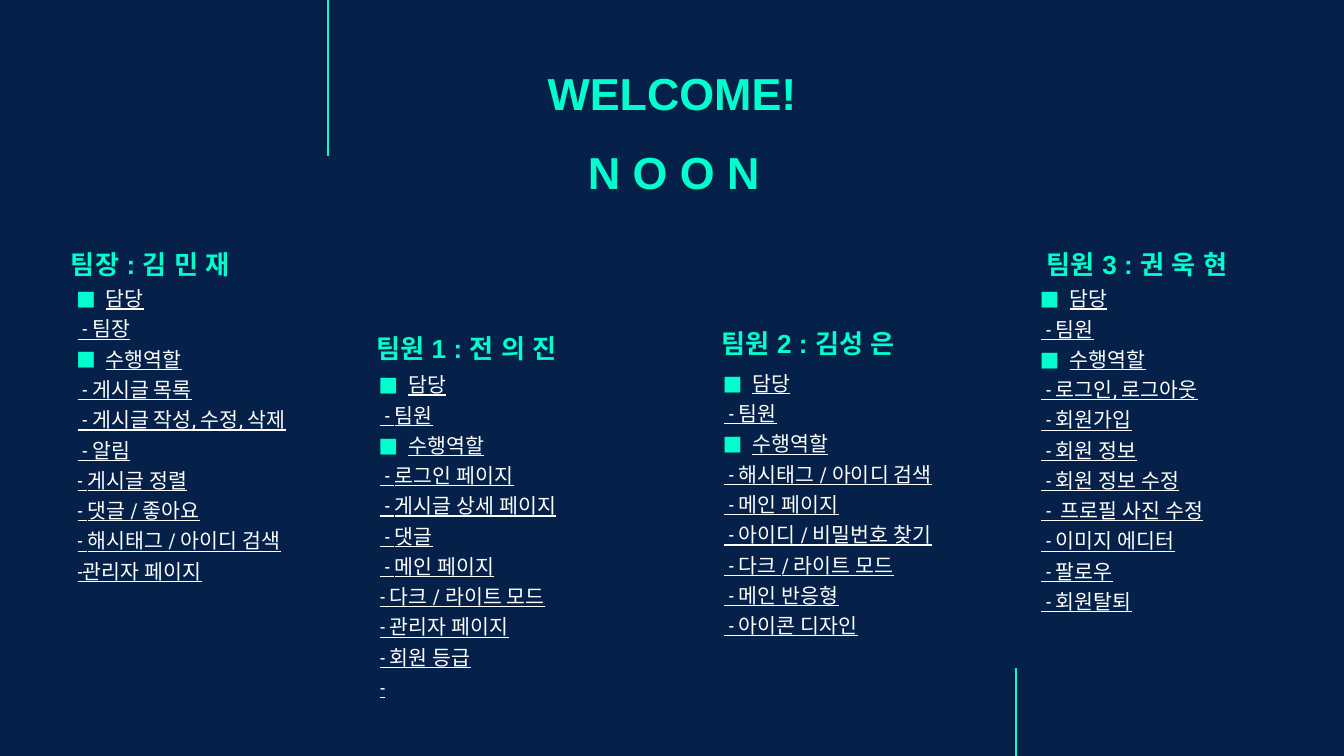
from lxml.etree import SubElement
from pptx import Presentation
from pptx.dml.color import RGBColor
from pptx.enum.shapes import MSO_CONNECTOR
from pptx.enum.text import MSO_ANCHOR, PP_ALIGN
from pptx.oxml.ns import qn
from pptx.util import Pt

PX = 4572
HUES = {"navy": "05214A", "mint": "00FFCD", "white": "FFFFFF"}
HEAD = {"name": "Arial", "size": Pt(14), "bold": True}
BIG = {**HEAD, "size": Pt(24)}
ITEM = {"name": "Roboto Condensed", "size": Pt(11), "underline": True}


def add_box(left, top, width, height, anchor):
    box = slide.shapes.add_textbox(left * PX, top * PX, width * PX, height * PX)
    frame = box.text_frame
    form = {"word_wrap": True, "vertical_anchor": anchor}
    for side in ("left", "top", "right", "bottom"):
        form[f"margin_{side}"] = 20 * PX
    for key, val in form.items():
        setattr(frame, key, val)
    return frame


def add_run(para, text, form, hue):
    run = para.add_run()
    run.text = text
    for key, val in form.items():
        setattr(run.font, key, val)
    run.font.color.rgb = RGBColor.from_string(HUES[hue])
    SubElement(run._r.get_or_add_rPr(), qn("a:ea"), typeface=form["name"])


deck = Presentation()
deck.slide_width = 2000 * PX
deck.slide_height = 1125 * PX
slide = deck.slides.add_slide(deck.slide_layouts[6])
fill = slide.background.fill
fill.solid()
fill.fore_color.rgb = RGBColor.from_string(HUES["navy"])

for x, top, end in [(488, 0, 232), (1512, 994, 1130)]:
    line = slide.shapes.add_connector(
        MSO_CONNECTOR.STRAIGHT, x * PX, top * PX, x * PX, end * PX
    )
    line.line.color.rgb = RGBColor.from_string(HUES["mint"])
    line.line.width = Pt(0.75)
    SubElement(line._element.spPr, qn("a:effectLst"))

LOW, HIGH = MSO_ANCHOR.BOTTOM, MSO_ANCHOR.TOP
titles = [
    ("WELCOME!", (430, 78, 1140, 206, HIGH), PP_ALIGN.CENTER, BIG),
    ("N O O N", (852, 168, 298, 148, LOW), PP_ALIGN.RIGHT, BIG),
    ("팀장 : 김 민 재", (86, 342, 392, 94, LOW), PP_ALIGN.LEFT, HEAD),
    ("팀원 1 : 전 의 진", (540, 468, 392, 94, LOW), PP_ALIGN.LEFT, HEAD),
    ("팀원 2 : 김성 은", (1054, 460, 392, 94, LOW), PP_ALIGN.LEFT, HEAD),
    ("팀원 3 : 권 욱 현", (1538, 342, 392, 94, LOW), PP_ALIGN.LEFT, HEAD),
]
for text, place, align, form in titles:
    para = add_box(*place).paragraphs[0]
    para.alignment = align
    add_run(para, text, form, "mint")

lists = [
    (86, 406, 588, " - 팀장", [
        " - 게시글 목록", " - 게시글 작성, 수정, 삭제", " - 알림",
        "- 게시글 정렬", "- 댓글 / 좋아요", "- 해시태그 / 아이디 검색",
        "-관리자 페이지",
    ]),
    (536, 534, 500, " - 팀원", [
        " - 로그인 페이지", " - 게시글 상세 페이지", " - 댓글",
        " - 메인 페이지", "- 다크 / 라이트 모드", "- 관리자 페이지",
        "- 회원 등급", "-",
    ]),
    (1048, 532, 518, " - 팀원", [
        " - 해시태그 / 아이디 검색", " - 메인 페이지",
        " - 아이디 / 비밀번호 찾기", " - 다크 / 라이트 모드",
        " - 메인 반응형", " - 아이콘 디자인",
    ]),
    (1520, 406, 582, " - 팀원", [
        " - 로그인, 로그아웃", " - 회원가입", " - 회원 정보",
        " - 회원 정보 수정", " -  프로필 사진 수정", " - 이미지 에디터",
        " - 팔로우", " - 회원탈퇴",
    ]),
]
for left, top, height, role, tasks in lists:
    frame = add_box(left, top, 394, height, HIGH)
    for row, text in enumerate(["담당", role, "수행역할", *tasks]):
        para = frame.add_paragraph() if row else frame.paragraphs[0]
        para.space_before = Pt(3 if row else 0)
        props = para._p.get_or_add_pPr()
        mark = row in (0, 2)
        props.set("marL", str((52 if mark else 10) * PX))
        props.set("indent", str((-44 if mark else 0) * PX))
        if mark:
            tint = SubElement(props, qn("a:buClr"))
            SubElement(tint, qn("a:srgbClr"), val=HUES["mint"])
            SubElement(props, qn("a:buFont"), typeface=ITEM["name"])
            SubElement(props, qn("a:buChar"), char="■")
        else:
            SubElement(props, qn("a:buNone"))
        add_run(para, text, ITEM, "white")

deck.save("out.pptx")
